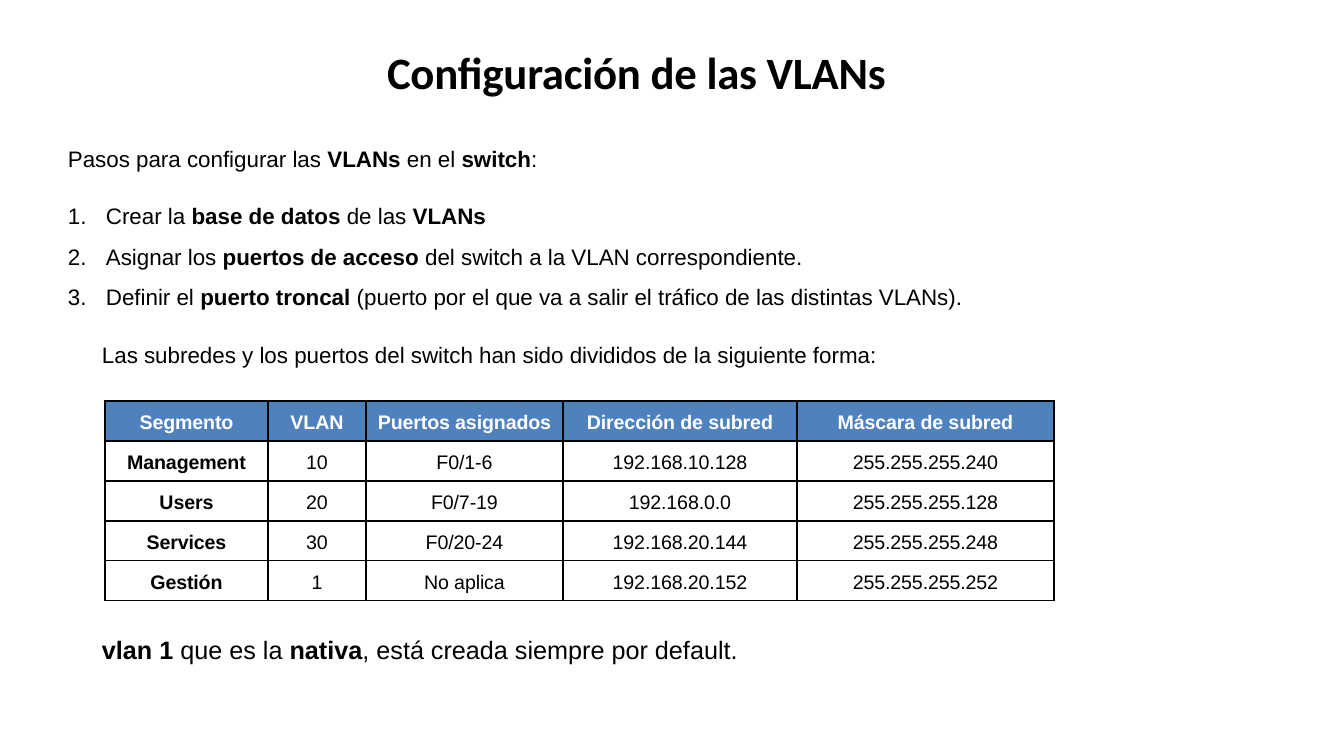
from lxml import etree
from pptx import Presentation
from pptx import util as u
from pptx.dml.color import RGBColor
from pptx.enum import text
from pptx.oxml import ns

PX = 12192000 / 1344
BLACK = RGBColor(0x00, 0x00, 0x00)
WHITE = RGBColor(0xFF, 0xFF, 0xFF)
BLUE = RGBColor(0x4F, 0x81, 0xBD)


def add_runs(para, marked, size, color=BLACK, font="Arial", tracking=0):
    """Write text in which the parts between bars are bold."""
    for i, part in enumerate(marked.split("|")):
        if part:
            span = para.add_run()
            span.text = part
            span.font.size = u.Pt(size)
            span.font.name = font
            span.font.bold = i % 2 == 1
            span.font.color.rgb = color
            if tracking:
                span.font._element.set("spc", str(tracking))


def add_box(left, top, width, height):
    box = page.shapes.add_textbox(*(round(n * PX) for n in (left, top, width, height)))
    frame = box.text_frame
    frame.word_wrap = True
    frame.auto_size = text.MSO_AUTO_SIZE.SHAPE_TO_FIT_TEXT
    return frame


deck = Presentation()
deck.slide_width = round(1344 * PX)
deck.slide_height = round(756 * PX)
page = deck.slides.add_slide(deck.slide_layouts[6])

# Title
title = add_box(387, 45, 570, 54)
title.margin_left = title.margin_top = title.margin_right = title.margin_bottom = 0
add_runs(title.paragraphs[0], "|Configuración de las VLANs|", 32, font="Calibri", tracking=-20)

# Introduction and numbered steps
steps = add_box(58, 127, 1041, 184)
intro = steps.paragraphs[0]
intro.line_spacing = 1.5
intro.space_after = u.Pt(12)
add_runs(intro, "Pasos para configurar las |VLANs |en el |switch|:", 16)
for step in (
    "Crear la |base de datos |de las |VLANs|",
    "Asignar los |puertos de acceso |del switch a la VLAN correspondiente.",
    "Definir el |puerto troncal| (puerto por el que va a salir el tráfico de las distintas VLANs).",
):
    para = steps.add_paragraph()
    props = para._p.get_or_add_pPr()
    props.set("marL", str(round(38 * PX)))
    props.set("indent", str(round(-38 * PX)))
    etree.SubElement(props, ns.qn("a:buFont"), typeface="+mj-lt")
    etree.SubElement(props, ns.qn("a:buAutoNum"), type="arabicPeriod")
    para.line_spacing = 1.5
    add_runs(para, step, 16)

# Lead-in to the table
lead = add_box(92, 323, 924, 45).paragraphs[0]
lead.line_spacing = 1.5
lead.space_after = u.Pt(6)
add_runs(lead, "Las subredes y los puertos del switch han sido divididos de la siguiente forma:", 16)

# Subnet table
ROWS = [
    ("Segmento", "VLAN", "Puertos asignados", "Dirección de subred", "Máscara de subred"),
    ("Management", "10", "F0/1-6", "192.168.10.128", "255.255.255.240"),
    ("Users", "20", "F0/7-19", "192.168.0.0", "255.255.255.128"),
    ("Services", "30", "F0/20-24", "192.168.20.144", "255.255.255.248"),
    ("Gestión", "1", "No aplica", "192.168.20.152", "255.255.255.252"),
]
WIDTHS = (163, 98, 197, 234, 257)
ROW_HEIGHT = 40
table = page.shapes.add_table(
    len(ROWS), len(WIDTHS), round(105 * PX), round(401 * PX),
    round(sum(WIDTHS) * PX), round(ROW_HEIGHT * len(ROWS) * PX),
).table
table.first_row = False
table.horz_banding = False
for column, width in zip(table.columns, WIDTHS):
    column.width = round(width * PX)
for r, values in enumerate(ROWS):
    table.rows[r].height = round(ROW_HEIGHT * PX)
    for c, value in enumerate(values):
        cell = table.cell(r, c)
        cell.margin_left = cell.margin_top = cell.margin_right = cell.margin_bottom = 0
        cell.vertical_anchor = text.MSO_ANCHOR.MIDDLE
        for side in ("lnL", "lnR", "lnT", "lnB"):
            border = etree.SubElement(cell._tc.get_or_add_tcPr(), ns.qn(f"a:{side}"), w=str(u.Pt(1)))
            ink = etree.SubElement(border, ns.qn("a:solidFill"))
            etree.SubElement(ink, ns.qn("a:srgbClr"), val=str(BLACK))
        if r == 0:
            cell.fill.solid()
            cell.fill.fore_color.rgb = BLUE
        else:
            cell.fill.background()
        para = cell.text_frame.paragraphs[0]
        para.alignment = text.PP_ALIGN.CENTER
        para.line_spacing = u.Pt(18)
        marked = f"|{value}|" if r == 0 or c == 0 else value
        add_runs(para, marked, 14, WHITE if r == 0 else BLACK, tracking=0 if value == "VLAN" else -10)

# Closing note
note = add_box(92, 629, 675, 40).paragraphs[0]
add_runs(note, "|vlan 1 |que es la| nativa|, está creada siempre por default.", 18)

deck.save("out.pptx")
